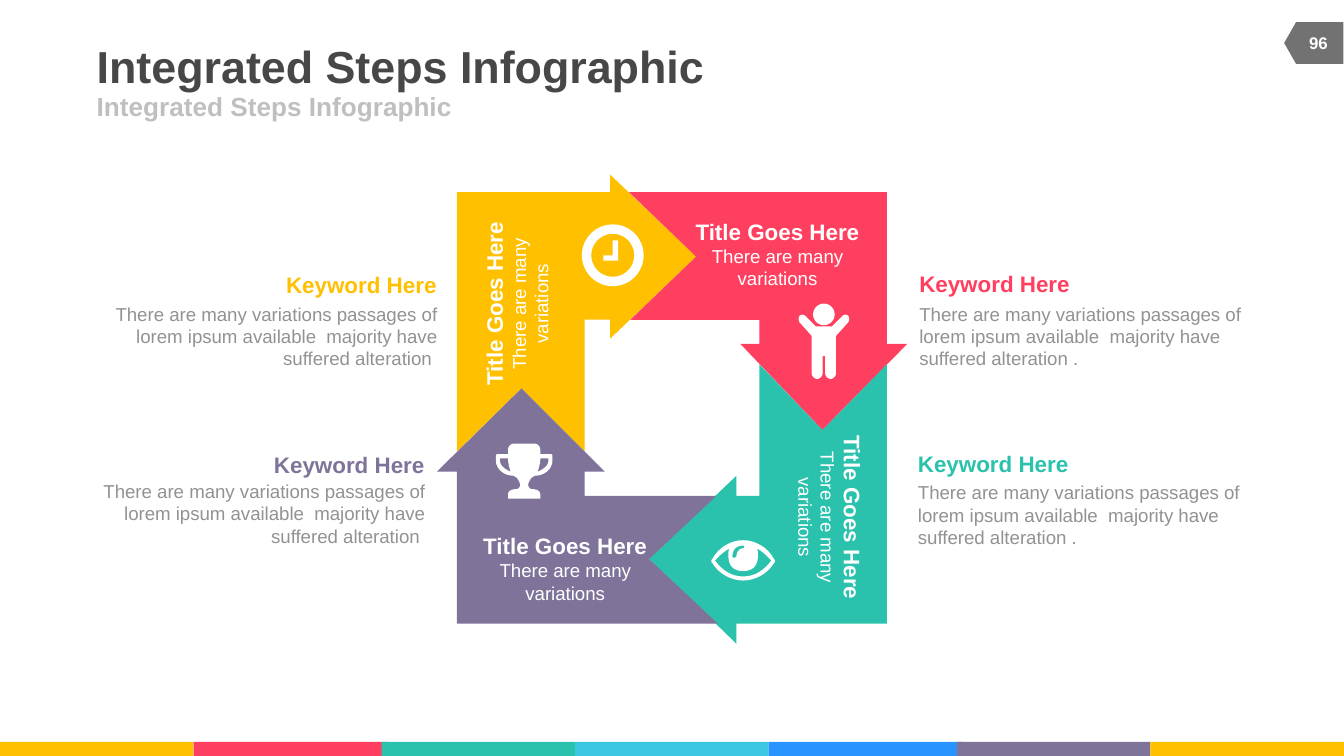
from math import cos, sin, tau
from pptx import Presentation
from pptx.dml.color import RGBColor
from pptx.enum.shapes import MSO_SHAPE
from pptx.enum.text import MSO_ANCHOR, PP_ALIGN
from pptx.util import Inches, Pt

THEME = {
    "font": "Arial",
    "gold": "FFC000", "red": "FF3F5F", "teal": "2AC2AC", "sky": "3BC7E2",
    "blue": "2993FF", "plum": "7F739A", "white": "FFFFFF", "ink": "474747",
    "pale": "BFBFBF", "gray": "929292", "badge": "727272",
    "title": 24, "sub": 14, "head": 12, "body": 10, "page": 9,
}
LEFT, MID, RIGHT = PP_ALIGN.LEFT, PP_ALIGN.CENTER, PP_ALIGN.RIGHT

HEADING = "Integrated Steps Infographic"
BAR = [(0, "gold"), (1.44, "red"), (2.84, "teal"), (4.28, "sky"),
       (5.72, "blue"), (7.12, "plum"), (8.56, "gold")]
STEP = ("Title Goes Here", "There are many variations")
KEY = "Keyword Here"
NOTE = ("There are many variations passages of lorem ipsum available  "
        "majority have suffered alteration ")

ARROWS = {
    "gold": [(4.54, 1.3), (5.18, 1.91), (4.54, 2.52), (4.54, 2.38), (4.35, 2.38),
             (4.35, 3.36), (3.88, 2.89), (3.4, 3.36), (3.4, 1.43), (4.54, 1.43)],
    "red": [(4.68, 1.43), (6.6, 1.43), (6.6, 2.56), (6.75, 2.56), (6.12, 3.2),
            (5.51, 2.56), (5.65, 2.56), (5.65, 2.38), (4.69, 2.38), (5.18, 1.91)],
    "teal": [(5.48, 4.79), (4.83, 4.16), (5.48, 3.54), (5.48, 3.69), (5.65, 3.69),
             (5.65, 2.71), (6.12, 3.2), (6.6, 2.71), (6.6, 4.64), (5.48, 4.64)],
    "plum": [(3.25, 3.51), (3.88, 2.89), (4.5, 3.51), (4.35, 3.51), (4.35, 3.69),
             (5.33, 3.69), (4.83, 4.16), (5.34, 4.64), (3.4, 4.64), (3.4, 3.51)],
}
# left, top, rotation
STEPS = [(3.12, 1.99, 270), (5.06, 1.62, 0), (3.48, 3.96, 0), (5.45, 3.58, 90)]
# left, heading top, note top, colour, alignment, note ending
KEYS = [(6.84, 2.01, 2.25, "red", LEFT, "."), (0.76, 2.02, 2.25, "gold", RIGHT, ""),
        (0.67, 3.36, 3.57, "plum", RIGHT, ""), (6.83, 3.35, 3.58, "teal", LEFT, ".")]
WIDE, SLIM = 2.49, 1.13


def bend(*marks, steps=8):
    """Flatten an outline: pairs are corners, sextets are cubic curves."""
    spots = []
    for mark in marks:
        if len(mark) == 2:
            spots.append(mark)
            continue
        ends = [spots[-1], mark[:2], mark[2:4], mark[4:]]
        for i in range(1, steps + 1):
            t = i / steps
            mix = ((1 - t) ** 3, 3 * t * (1 - t) ** 2, 3 * t * t * (1 - t), t ** 3)
            spots.append(tuple(sum(m * e[k] for m, e in zip(mix, ends)) for k in (0, 1)))
    return spots


def flip(spots, axis):
    return [(2 * axis - x, y) for x, y in reversed(spots)]


def whole(half, axis):
    """Close a right half with its mirror image."""
    return half + flip(half, axis)


def ring(x, y, r, count=48):
    return [(x + r * cos(tau * i / count), y + r * sin(tau * i / count))
            for i in range(count)]


EYE, MAN, CUP = 5.53, 6.13, 3.9
handle = bend((4.02, 3.41), (4.08, 3.41), (4.08, 3.43),
              (4.08, 3.46, 4.05, 3.49, 4, 3.51), (4.01, 3.48, 4.02, 3.45, 4.02, 3.41))
ICONS = [
    [whole(bend((EYE, 4.02), (5.62, 4.02, 5.71, 4.07, 5.76, 4.16),
                (5.77, 4.17, 5.77, 4.18, 5.76, 4.19),
                (5.71, 4.27, 5.62, 4.32, EYE, 4.32)), EYE),
     whole(bend((EYE, 4.25), (5.6, 4.25, 5.64, 4.21, 5.64, 4.14),
                (5.64, 4.11, 5.64, 4.09, 5.63, 4.08),
                (5.67, 4.1, 5.71, 4.14, 5.74, 4.17),
                (5.69, 4.24, 5.62, 4.29, EYE, 4.29)), EYE),
     bend((5.53, 4.06), (5.48, 4.06, 5.45, 4.09, 5.45, 4.14),
          (5.46, 4.16, 5.47, 4.15, 5.48, 4.14), (5.48, 4.11, 5.5, 4.08, 5.53, 4.08),
          (5.54, 4.08, 5.54, 4.06, 5.53, 4.06))],
    [ring(4.56, 1.9, 0.23), ring(4.56, 1.9, 0.16),
     [(4.56, 1.79), (4.6, 1.79), (4.6, 1.94), (4.49, 1.94), (4.49, 1.9), (4.56, 1.9)]],
    [ring(MAN, 2.34, 0.08),
     whole(bend((MAN, 2.43), (6.19, 2.43), (6.27, 2.35),
                (6.28, 2.34, 6.3, 2.34, 6.31, 2.35), (6.32, 2.36, 6.32, 2.39, 6.31, 2.4),
                (6.22, 2.5), (6.22, 2.78), (6.22, 2.8, 6.2, 2.82, 6.18, 2.82),
                (6.16, 2.82, 6.14, 2.8, 6.14, 2.78), (6.14, 2.65), (MAN, 2.65)), MAN)],
    [whole(bend((CUP, 3.3), (3.97, 3.3), (4, 3.3, 4.02, 3.32, 4.02, 3.35), (4.02, 3.38),
                (4.09, 3.38), (4.11, 3.38, 4.11, 3.38, 4.11, 3.4), (4.11, 3.43),
                (4.11, 3.48, 4.06, 3.54, 3.98, 3.54), (3.96, 3.55, 3.95, 3.56, 3.95, 3.56),
                (3.94, 3.58, 3.93, 3.59, 3.93, 3.61), (3.93, 3.62, 3.94, 3.64, 3.96, 3.64),
                (3.99, 3.64, 4.02, 3.65, 4.02, 3.68), (4.02, 3.71), (CUP, 3.71)), CUP),
     handle, flip(handle, CUP)],
]


def tint(name):
    return RGBColor.from_string(THEME[name])


def paint(shape, color):
    shape.shadow.inherit = False
    shape.fill.solid()
    shape.fill.fore_color.rgb = tint(color)
    shape.line.fill.background()


def block(kind, box, color, turn=0):
    shape = slide.shapes.add_shape(kind, *map(Inches, box))
    shape.rotation = turn
    paint(shape, color)


def draw(loops, color):
    """Make one shape of several closed outlines; inner ones are holes."""
    pen = None
    for loop in loops:
        spots = [(Inches(x), Inches(y)) for x, y in loop]
        if pen is None:
            pen = slide.shapes.build_freeform(*spots[0])
        else:
            pen.move_to(*spots[0])
        pen.add_line_segments(spots[1:], close=True)
    paint(pen.convert_to_shape(), color)


def write(box, lines, align=LEFT, anchor=MSO_ANCHOR.TOP, turn=0, wrap=True):
    """Set lines of (text, size, colour, bold) as one paragraph."""
    shape = slide.shapes.add_textbox(*map(Inches, box))
    shape.rotation = turn
    frame = shape.text_frame
    form = {"word_wrap": wrap, "vertical_anchor": anchor, "margin_left": 0,
            "margin_right": 0, "margin_top": 0, "margin_bottom": 0}
    for name, value in form.items():
        setattr(frame, name, value)
    para = frame.paragraphs[0]
    para.alignment = align
    for i, (text, size, color, bold) in enumerate(lines):
        if i:
            para.add_line_break()
        run = para.add_run()
        run.text = text
        for name, value in {"name": THEME["font"], "size": Pt(THEME[size]),
                            "bold": bold}.items():
            setattr(run.font, name, value)
        run.font.color.rgb = tint(color)


deck = Presentation()
deck.slide_width = Inches(10)
deck.slide_height = deck.slide_width * 9 // 16
slide = deck.slides.add_slide(deck.slide_layouts[6])

for left, color in BAR:
    block(MSO_SHAPE.RECTANGLE, (left, 5.52, 1.44, 0.11), color)
block(MSO_SHAPE.FLOWCHART_OFFPAGE_CONNECTOR, (9.62, 0.1, 0.31, 0.44), "badge", 90)

MIDDLE = MSO_ANCHOR.MIDDLE
write((0.72, 0.29, 6.17, 0.39), [(HEADING, "title", "ink", True)], anchor=MIDDLE)
write((0.72, 0.68, 4.5, 0.22), [(HEADING, "sub", "pale", True)], anchor=MIDDLE)
write((9.6, 0.17, 0.42, 0.3), [("96", "page", "white", True)], MID, MIDDLE)

for color, loop in ARROWS.items():
    draw([loop], color)
for loops in ICONS:
    draw(loops, "white")

for left, top, turn in STEPS:
    write((left, top, 1.45, 0.54), [(STEP[0], "head", "white", True),
                                    (STEP[1], "body", "white", False)], MID, turn=turn)
for left, top, low, color, align, end in KEYS:
    write((left, low, WIDE, 0.5), [(NOTE + end, "body", "gray", False)], align)
    side = left + WIDE - SLIM if align == RIGHT else left
    write((side, top, SLIM, 0.2), [(KEY, "head", color, True)], align, wrap=False)

deck.save("out.pptx")
